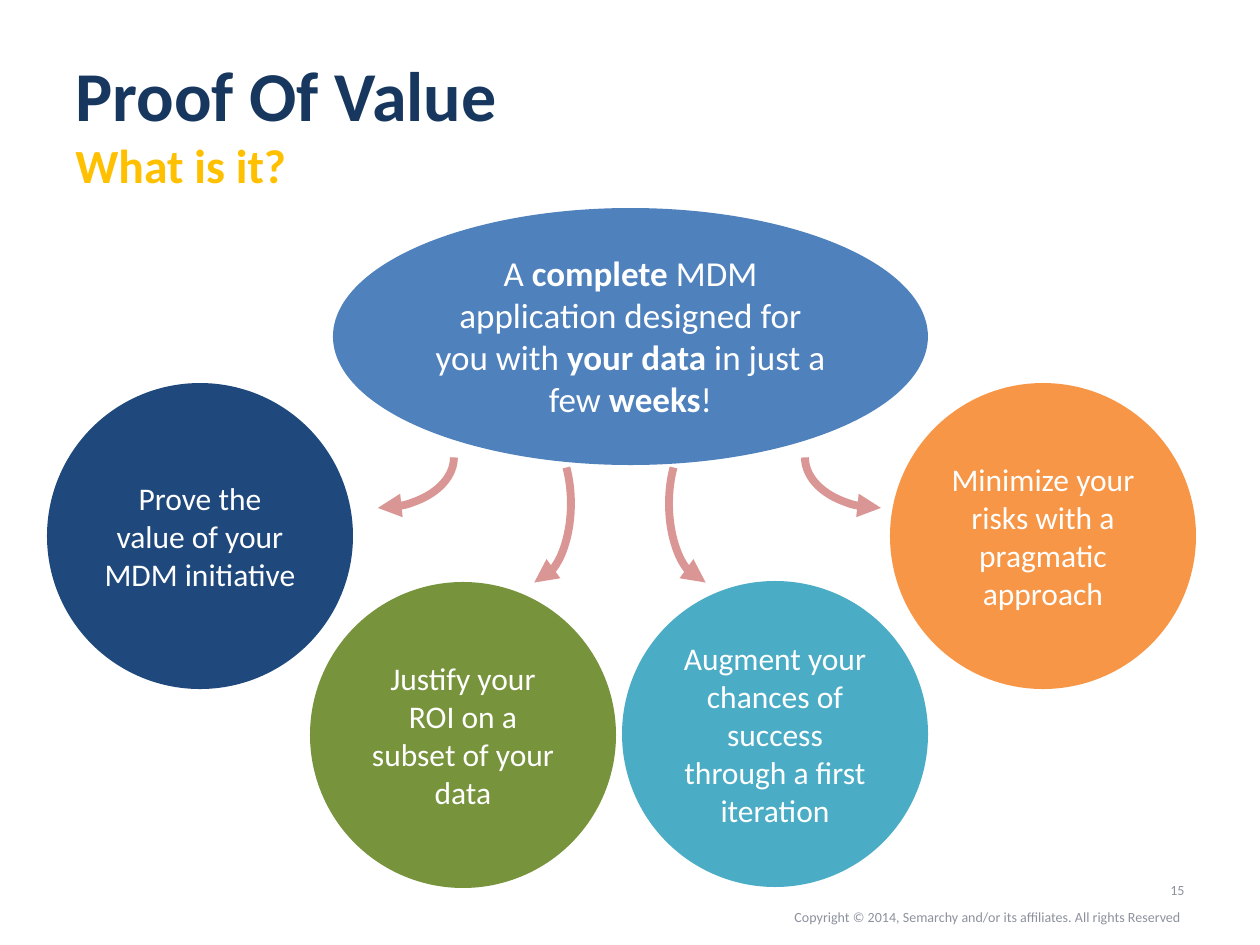
from lxml.etree import SubElement
from pptx import Presentation
from pptx.dml.color import RGBColor
from pptx.enum.shapes import MSO_SHAPE
from pptx.enum.text import MSO_ANCHOR, MSO_AUTO_SIZE, PP_ALIGN
from pptx.oxml.ns import qn
from pptx.util import Emu, Pt

SCALE = 914400 / 126


def px(n):
    return Emu(round(n * SCALE))


def color(code):
    return RGBColor.from_string(code)


class Deck:
    font = "Calibri"
    white = "FFFFFF"
    grey = "8C919C"
    pink = "D99694"

    def __init__(self):
        self.prs = Presentation()
        self.prs.slide_width = px(1260)
        self.prs.slide_height = px(945)
        self.slide = self.prs.slides.add_slide(self.prs.slide_layouts[6])

    def fill_text(self, par, parts, size, ink, align):
        """Add (text, bold) parts to one paragraph."""
        par.alignment = align
        for text, bold in parts:
            run = par.add_run()
            run.text = text
            run.font.name = self.font
            run.font.size = Pt(size)
            run.font.bold = bold
            run.font.color.rgb = color(ink)

    def label(self, box, text, size, ink, bold=False, align=PP_ALIGN.LEFT,
              anchor=MSO_ANCHOR.TOP, top=0):
        frame = self.slide.shapes.add_textbox(*map(px, box)).text_frame
        frame.word_wrap = True
        frame.vertical_anchor = anchor
        frame.margin_top = px(top)
        frame.margin_bottom = 0
        self.fill_text(frame.paragraphs[0], [(text, bold)], size, ink, align)

    def oval(self, box, fill, parts, size, anchor=MSO_ANCHOR.MIDDLE):
        shape = self.slide.shapes.add_shape(MSO_SHAPE.OVAL, *map(px, box))
        shape.shadow.inherit = False
        shape.fill.solid()
        shape.fill.fore_color.rgb = color(fill)
        shape.line.fill.background()
        frame = shape.text_frame
        frame.word_wrap = True
        frame.vertical_anchor = anchor
        self.fill_text(frame.paragraphs[0], parts, size, self.white,
                       PP_ALIGN.CENTER)
        return shape

    def arc(self, box, flips="", turn=0, ends=()):
        """Draw a curved arrow whose head is at the start of the arc."""
        shape = self.slide.shapes.add_shape(MSO_SHAPE.ARC, *map(px, box))
        shape.shadow.inherit = False
        shape.fill.background()
        shape.line.color.rgb = color(self.pink)
        shape.line.width = Pt(4.5)
        shape.rotation = turn
        for i, end in enumerate(ends):
            shape.adjustments[i] = end
        props = shape.element.spPr
        for flip in flips:
            props.find(qn("a:xfrm")).set("flip" + flip, "1")
        SubElement(props.find(qn("a:ln")), qn("a:headEnd"), type="triangle")


def main():
    deck = Deck()

    # Heading
    deck.label((63, 38, 1134, 98), "Proof Of Value", 40, "17375E", True,
               anchor=MSO_ANCHOR.BOTTOM)
    deck.label((63, 136, 1134, 63), "What is it?", 27.2, "FFC000", True)

    # Main promise
    promise = [("A ", False), ("complete", True),
               (" MDM application designed for you with ", False),
               ("your data", True), (" in just a few", False),
               (" weeks", True), ("!", False)]
    hub = deck.oval((333, 208, 595, 257), "4F81BD", promise, 20,
                    MSO_ANCHOR.TOP)
    hub.text_frame.auto_size = MSO_AUTO_SIZE.SHAPE_TO_FIT_TEXT

    # Four benefits
    size = 306
    goals = [
        (47, 383, "1F497D", "Prove the value of your MDM initiative"),
        (890, 383, "F79646", "Minimize your risks with a pragmatic approach"),
        (310, 582, "77933C", "Justify your ROI on a subset of your data"),
        (622, 581, "4BACC6",
         "Augment your chances of success through a first iteration"),
    ]
    for x, y, fill, text in goals:
        deck.oval((x, y, size, size), fill, [(text, False)], 18)

    # Arrows from the promise to the benefits
    deck.arc((302, 407, 152, 101), "V")
    deck.arc((805, 407, 152, 101), "HV")
    ends = (110.1, 188.58)
    deck.arc((450, 462, 159, 83), "H", 90, ends)
    deck.arc((631, 462, 159, 83), "", 270, ends)

    # Footer
    deck.label((1145, 876, 52, 23), "15", 8, deck.grey,
               align=PP_ALIGN.RIGHT, top=6)
    deck.label((403, 903, 794, 25),
               "Copyright © 2014, Semarchy and/or its affiliates. "
               "All rights Reserved ", 8, deck.grey,
               align=PP_ALIGN.RIGHT, top=6)

    deck.prs.save("out.pptx")


if __name__ == "__main__":
    main()
